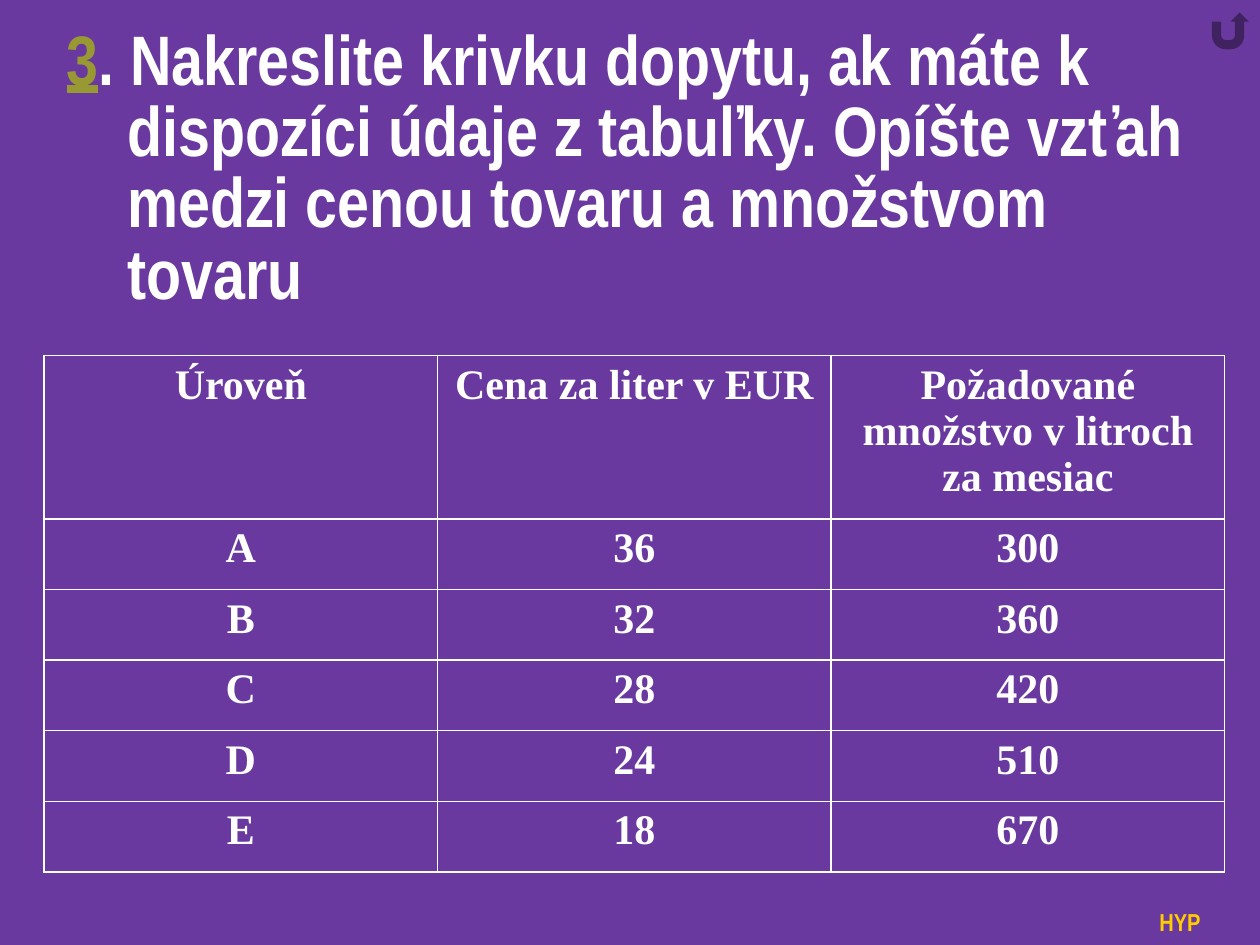
"""Build a slide with a demand-curve task and its price and quantity table."""
from dataclasses import dataclass

from pptx import Presentation
from pptx.dml.color import RGBColor as RGB
from pptx.enum.shapes import MSO_SHAPE as SHAPE
from pptx.enum.text import MSO_ANCHOR as ANCHOR, MSO_AUTO_SIZE as AUTO, PP_ALIGN as ALIGN
from pptx.oxml import parse_xml
from pptx.oxml.ns import nsdecls
from pptx.util import Inches, Pt


@dataclass(frozen=True)
class Theme:
    bg: str = "6A399F"
    text: str = "FFFFFF"
    number: str = "999933"
    button: str = "FFCC00"
    head_font: str = "Arial Narrow"
    table_font: str = "Times New Roman"
    title_size: int = 40
    table_size: int = 24
    button_size: int = 14


T = Theme()


def add_run(p, text, font, size, color):
    r = p.add_run()
    r.text = text
    r.font.name, r.font.size, r.font.bold = font, Pt(size), True
    r.font.color.rgb = RGB.from_string(color)
    return r


def add_button(s, kind, left, top):
    sp = s.shapes.add_shape(kind, Inches(left), Inches(top), Inches(0.39), Inches(0.39))
    sp.shadow.inherit = False
    sp.fill.solid()
    sp.fill.fore_color.rgb = RGB.from_string(T.bg)
    sp.line.fill.background()
    return sp


prs = Presentation()
prs.slide_width, prs.slide_height = Inches(10), Inches(7.5)
s = prs.slides.add_slide(prs.slide_layouts[5])
s.background.fill.solid()
s.background.fill.fore_color.rgb = RGB.from_string(T.bg)

title = s.shapes.title
title.left, title.top = Inches(0.43), Inches(1.18)
title.width, title.height = Inches(9.21), Inches(1.36)
tf = title.text_frame
tf.word_wrap, tf.auto_size, tf.vertical_anchor = True, AUTO.NONE, ANCHOR.BOTTOM
p = tf.paragraphs[0]
p.alignment, p.line_spacing = ALIGN.LEFT, 0.85
pPr = p._p.get_or_add_pPr()
pPr.set("marL", str(Inches(0.48)))
pPr.set("indent", str(Inches(-0.48)))
r = add_run(p, "3", T.head_font, T.title_size, T.number)
r.font.underline = True
add_run(p, ". Nakreslite krivku dopytu, ak máte k dispozíci údaje z tabuľky. "
        "Opíšte vzťah medzi cenou tovaru a množstvom tovaru",
        T.head_font, T.title_size, T.text)

rows = [
    ("Úroveň", "Cena za liter v EUR", "Požadované množstvo v litroch za mesiac"),
    ("A", "36", "300"),
    ("B", "32", "360"),
    ("C", "28", "420"),
    ("D", "24", "510"),
    ("E", "18", "670"),
]
table = s.shapes.add_table(len(rows), 3, Inches(0.35), Inches(2.82),
                           Inches(9.37), Inches(4.1)).table
table.first_row = table.horz_banding = False
for col in table.columns:
    col.width = Inches(9.37 / 3)
for i, values in enumerate(rows):
    table.rows[i].height = Inches(0.56 if i else 1.3)
    for j, value in enumerate(values):
        cell = table.cell(i, j)
        cell.fill.background()
        tcPr = cell._tc.get_or_add_tcPr()
        for k, side in enumerate("LRTB"):
            tcPr.insert(k, parse_xml(
                f'<a:ln{side} {nsdecls("a")} w="{Pt(1)}"><a:solidFill>'
                f'<a:srgbClr val="{T.text}"/></a:solidFill></a:ln{side}>'))
        p = cell.text_frame.paragraphs[0]
        p.alignment = ALIGN.CENTER
        add_run(p, value, T.table_font, T.table_size, T.text)

hyp = add_button(s, SHAPE.ACTION_BUTTON_CUSTOM, 9.17, 7.12)
tf = hyp.text_frame
tf.word_wrap, tf.vertical_anchor = False, ANCHOR.MIDDLE
p = tf.paragraphs[0]
p.alignment = ALIGN.CENTER
add_run(p, "HYP", T.head_font, T.button_size, T.button)
add_button(s, SHAPE.ACTION_BUTTON_RETURN, 9.57, 0.05)

prs.save("out.pptx")
